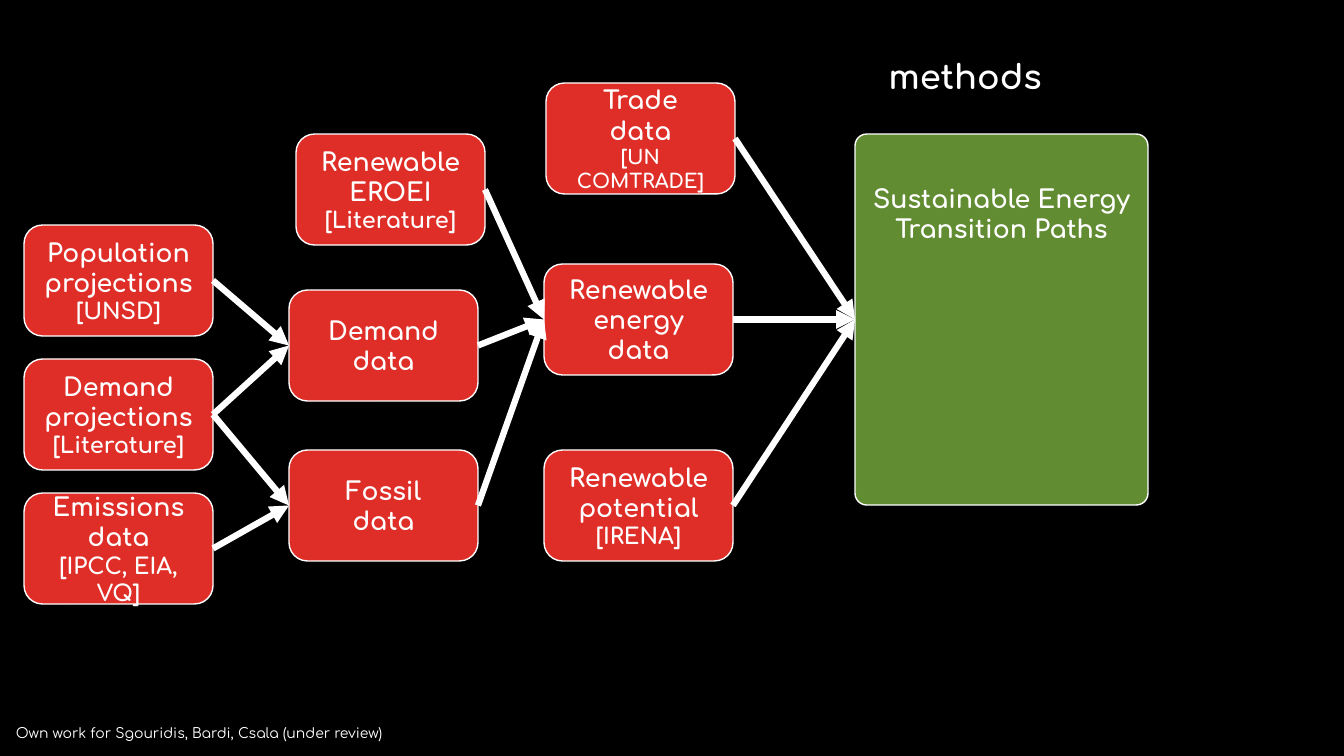
from lxml import etree
from pptx import Presentation, util as u
from pptx.dml.color import RGBColor
from pptx.enum import shapes, text
from pptx.oxml.ns import qn

EMU_PER_PX = 914400 / 100.8
COLORS = {"background": "000000", "input": "DF2E28", "result": "618C32", "light": "FFFFFF"}
FONT = "Comfortaa"
INPUT_WIDTH, INPUT_HEIGHT = 189, 111

INPUTS = {
    "population": (24, 225, [("Population projections", 18), ("[UNSD]", 16)]),
    "demand outlook": (24, 359, [("Demand projections", 18), ("[Literature]", 16)]),
    "emissions": (24, 493, [("Emissions data", 18), ("[IPCC, EIA, VQ]", 16)]),
    "demand": (289, 290, [("Demand data", 18)]),
    "fossil": (289, 450, [("Fossil", 18), ("data", 18)]),
    "eroei": (296, 134, [("Renewable", 18), ("EROEI", 18), ("[Literature]", 16)]),
    "renewables": (544, 264, [("Renewable energy data", 18)]),
    "trade": (546, 83, [("Trade", 18), ("data", 18), ("[UN COMTRADE]", 14)]),
    "potential": (544, 450, [("Renewable potential", 18), ("[IRENA]", 16)]),
}
FLOWS = [
    ("population", "demand"),
    ("demand outlook", "demand"),
    ("demand outlook", "fossil"),
    ("emissions", "fossil"),
    ("eroei", "renewables"),
    ("demand", "renewables"),
    ("fossil", "renewables"),
    ("trade", "paths"),
    ("renewables", "paths"),
    ("potential", "paths"),
]


def px(length):
    return u.Emu(round(length * EMU_PER_PX))


def color(name):
    return RGBColor.from_string(COLORS[name])


def write(frame, lines, align, anchor, bold=True):
    frame.word_wrap = True
    frame.auto_size = text.MSO_AUTO_SIZE.NONE
    frame.vertical_anchor = anchor
    for index, (words, size) in enumerate(lines):
        paragraph = frame.paragraphs[0] if index == 0 else frame.add_paragraph()
        paragraph.alignment = align
        run = paragraph.add_run()
        run.text = words
        run.font.name = FONT
        run.font.size = u.Pt(size)
        run.font.bold = bold
        run.font.color.rgb = color("light")


def add_box(slide, left, top, width, height, fill, lines, anchor=text.MSO_ANCHOR.MIDDLE):
    box = slide.shapes.add_shape(
        shapes.MSO_SHAPE.ROUNDED_RECTANGLE, px(left), px(top), px(width), px(height))
    box.shadow.inherit = False
    box.fill.solid()
    box.fill.fore_color.rgb = color(fill)
    box.line.color.rgb = color("light")
    box.line.width = u.Pt(1)
    write(box.text_frame, lines, text.PP_ALIGN.CENTER, anchor)
    return box


def add_flow(slide, source, target):
    arrow = slide.shapes.add_connector(shapes.MSO_CONNECTOR.STRAIGHT, 0, 0, 0, 0)
    arrow.begin_connect(source, 3)
    arrow.end_connect(target, 1)
    arrow.line.color.rgb = color("light")
    arrow.line.width = u.Pt(4.5)
    etree.SubElement(arrow.line._get_or_add_ln(), qn("a:tailEnd"), type="triangle")
    etree.SubElement(arrow._element.spPr, qn("a:effectLst"))


def add_heading(slide):
    heading = slide.shapes.title
    heading.left, heading.top, heading.width, heading.height = px(596), px(39), px(738), px(90)
    write(heading.text_frame, [("methods", 24)], text.PP_ALIGN.CENTER, text.MSO_ANCHOR.TOP)
    heading.text_frame.paragraphs[0].line_spacing = 1.3
    heading.text_frame.paragraphs[0].space_before = u.Pt(0)


def add_credit(slide):
    credit = slide.shapes.add_textbox(px(6), px(718), px(568), px(30))
    write(credit.text_frame, [("Own work for Sgouridis, Bardi, Csala (under review)", 10)],
          text.PP_ALIGN.LEFT, text.MSO_ANCHOR.MIDDLE, bold=False)


def main():
    deck = Presentation()
    deck.slide_width, deck.slide_height = px(1344), px(756)
    slide = deck.slides.add_slide(deck.slide_layouts.get_by_name("Title Only"))
    slide.background.fill.solid()
    slide.background.fill.fore_color.rgb = color("background")

    add_heading(slide)
    stages = {
        name: add_box(slide, left, top, INPUT_WIDTH, INPUT_HEIGHT, "input", lines)
        for name, (left, top, lines) in INPUTS.items()
    }
    paths = add_box(slide, 855, 134, 293, 371, "result",
                    [("Sustainable Energy Transition Paths", 18)], text.MSO_ANCHOR.TOP)
    paths.adjustments[0] = 0.04
    paths.text_frame.margin_top = px(46)
    stages["paths"] = paths
    for source, target in FLOWS:
        add_flow(slide, stages[source], stages[target])
    add_credit(slide)
    deck.save("out.pptx")


if __name__ == "__main__":
    main()
